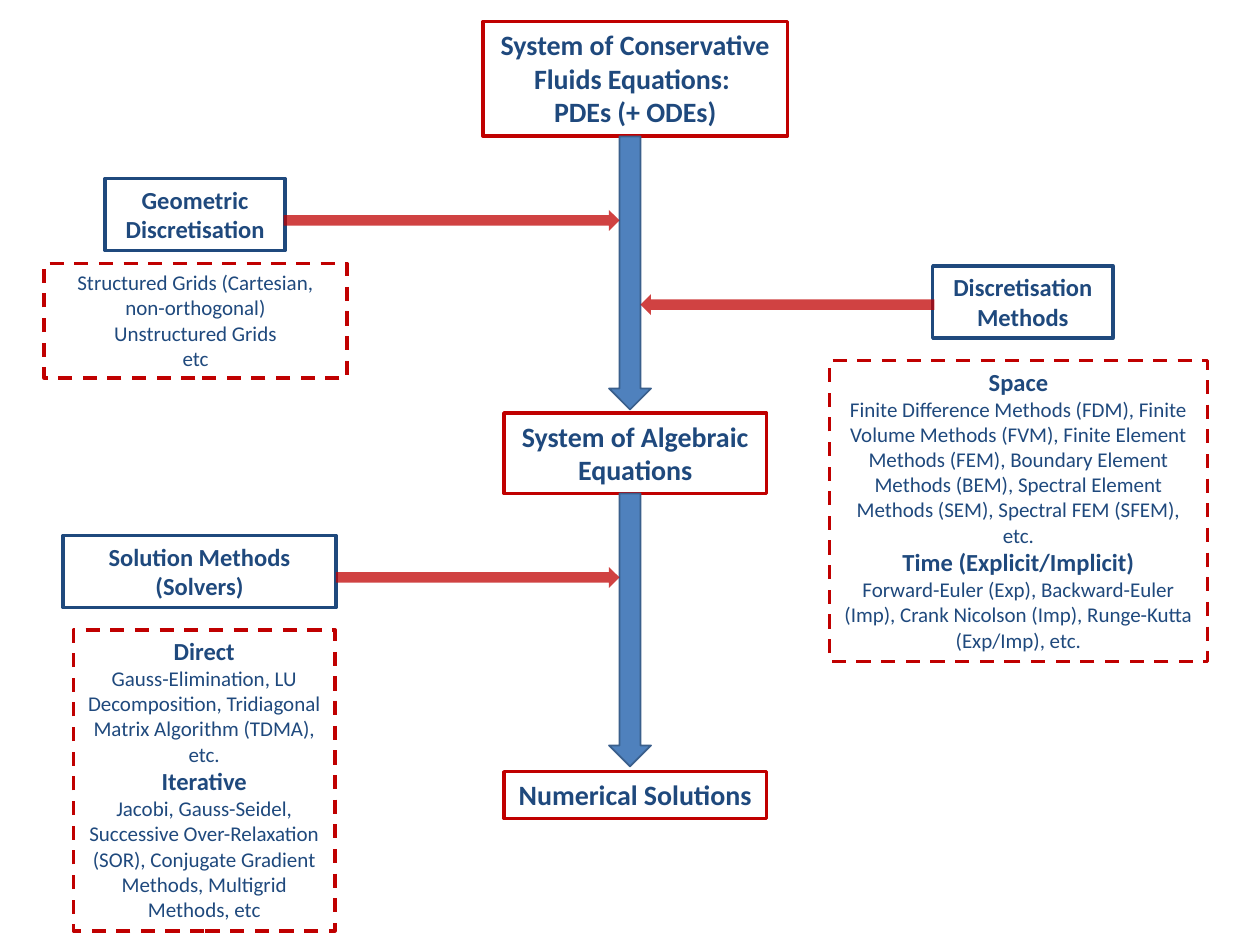
from dataclasses import dataclass

from lxml import etree
from pptx import Presentation
from pptx.dml.color import RGBColor
from pptx.enum.dml import MSO_LINE
from pptx.enum.shapes import MSO_SHAPE as Shape
from pptx.enum.text import MSO_AUTO_SIZE as AutoSize, PP_ALIGN as Align
from pptx.oxml.ns import qn
from pptx.util import Pt

NAVY, RED, BLUE, EDGE = "1F497D", "C00000", "4F81BD", "3A5F8C"
FONT = "Calibri"
STAGE, HEADING, DETAIL = 16, 14, 12


@dataclass
class Line:
    text: str
    size: int
    bold: bool = True


@dataclass
class Box:
    left: float
    top: float
    width: float
    height: float
    lines: list[Line]
    border: str = RED
    dashed: bool = False


@dataclass
class Arrow:
    left: float
    top: float
    width: float
    height: float
    kind: Shape
    fill: str
    border: str | None = None
    opacity: int = 100
    rotation: int = 0


def rgb(value: str) -> RGBColor:
    return RGBColor.from_string(value)


def stage(text: str) -> Line:
    return Line(text, STAGE)


def heading(text: str) -> Line:
    return Line(text, HEADING)


def detail(text: str) -> Line:
    return Line(text, DETAIL, False)


def write(p, text: str, *, size: int, bold: bool, color: str = NAVY) -> None:
    p.alignment = Align.CENTER
    r = p.add_run()
    r.text = text
    r.font.name = FONT
    r.font.size = Pt(size)
    r.font.bold = bold
    r.font.color.rgb = rgb(color)


def draw_box(s, box: Box) -> None:
    sp = s.shapes.add_textbox(Pt(box.left), Pt(box.top), Pt(box.width), Pt(box.height))
    sp.line.color.rgb = rgb(box.border)
    sp.line.width = Pt(2)
    if box.dashed:
        sp.line.dash_style = MSO_LINE.DASH
    tf = sp.text_frame
    tf.word_wrap = True
    tf.auto_size = AutoSize.SHAPE_TO_FIT_TEXT
    for i, line in enumerate(box.lines):
        p = tf.add_paragraph() if i else tf.paragraphs[0]
        write(p, line.text, size=line.size, bold=line.bold)


def draw_arrow(s, arrow: Arrow) -> None:
    sp = s.shapes.add_shape(arrow.kind, Pt(arrow.left), Pt(arrow.top),
                            Pt(arrow.width), Pt(arrow.height))
    sp.shadow.inherit = False
    sp.rotation = arrow.rotation
    sp.fill.solid()
    sp.fill.fore_color.rgb = rgb(arrow.fill)
    if arrow.opacity < 100:
        color = sp.fill._xPr.find(qn("a:solidFill"))[0]
        etree.SubElement(color, qn("a:alpha")).set("val", str(arrow.opacity * 1000))
    if arrow.border:
        sp.line.color.rgb = rgb(arrow.border)
        sp.line.width = Pt(1)
    else:
        sp.line.fill.background()


def flow_arrow(top: float) -> Arrow:
    return Arrow(348, top, 24, 156, Shape.DOWN_ARROW, BLUE, border=EDGE)


def input_arrow(left: float, top: float, width: float, rotation: int = 0) -> Arrow:
    return Arrow(left, top, width, 12, Shape.RIGHT_ARROW, RED,
                 opacity=74, rotation=rotation)


BOXES = [
    Box(276, 12.3, 174, 65.4, [stage("System of Conservative Fluids Equations: "),
                               stage("PDEs (+ ODEs)")]),
    Box(288, 236, 150, 46, [stage("System of Algebraic Equations")]),
    Box(288, 441, 150, 26.7, [stage("Numerical Solutions")]),
    Box(60, 102, 103, 41.2, [heading("Geometric Discretisation")], NAVY),
    Box(533, 152, 103, 41.2, [heading("Discretisation"), heading("Methods")], NAVY),
    Box(36, 306, 156, 41.2, [heading("Solution Methods (Solvers)")], NAVY),
    Box(25.2, 150.6, 173, 65.4, [
        detail("Structured Grids (Cartesian, non-orthogonal)"),
        detail("Unstructured Grids"),
        detail("etc"),
    ], dashed=True),
    Box(474, 206, 216, 172, [
        heading("Space"),
        detail("Finite Difference Methods (FDM), Finite Volume Methods (FVM), "
               "Finite Element Methods (FEM), Boundary Element Methods (BEM), "
               "Spectral Element Methods (SEM), Spectral FEM (SFEM), etc."),
        heading("Time (Explicit/Implicit)"),
        detail("Forward-Euler (Exp), Backward-Euler (Imp), Crank Nicolson (Imp), "
               "Runge-Kutta (Exp/Imp), etc."),
    ], dashed=True),
    Box(42, 360, 149.4, 172, [
        heading("Direct"),
        detail("Gauss-Elimination, LU Decomposition, Tridiagonal Matrix Algorithm "
               "(TDMA), etc."),
        heading("Iterative"),
        detail("Jacobi, Gauss-Seidel, Successive Over-Relaxation (SOR), "
               "Conjugate Gradient Methods, Multigrid Methods, etc"),
    ], dashed=True),
]

ARROWS = [
    flow_arrow(78),
    flow_arrow(282),
    input_arrow(192, 324, 162),
    input_arrow(162, 120, 192),
    input_arrow(366, 168, 168, rotation=180),
]


def main() -> None:
    prs = Presentation()
    prs.slide_width, prs.slide_height = Pt(720), Pt(540)
    s = prs.slides.add_slide(prs.slide_layouts[6])
    for box in BOXES:
        draw_box(s, box)
    for arrow in ARROWS:
        draw_arrow(s, arrow)
    prs.save("out.pptx")


if __name__ == "__main__":
    main()
